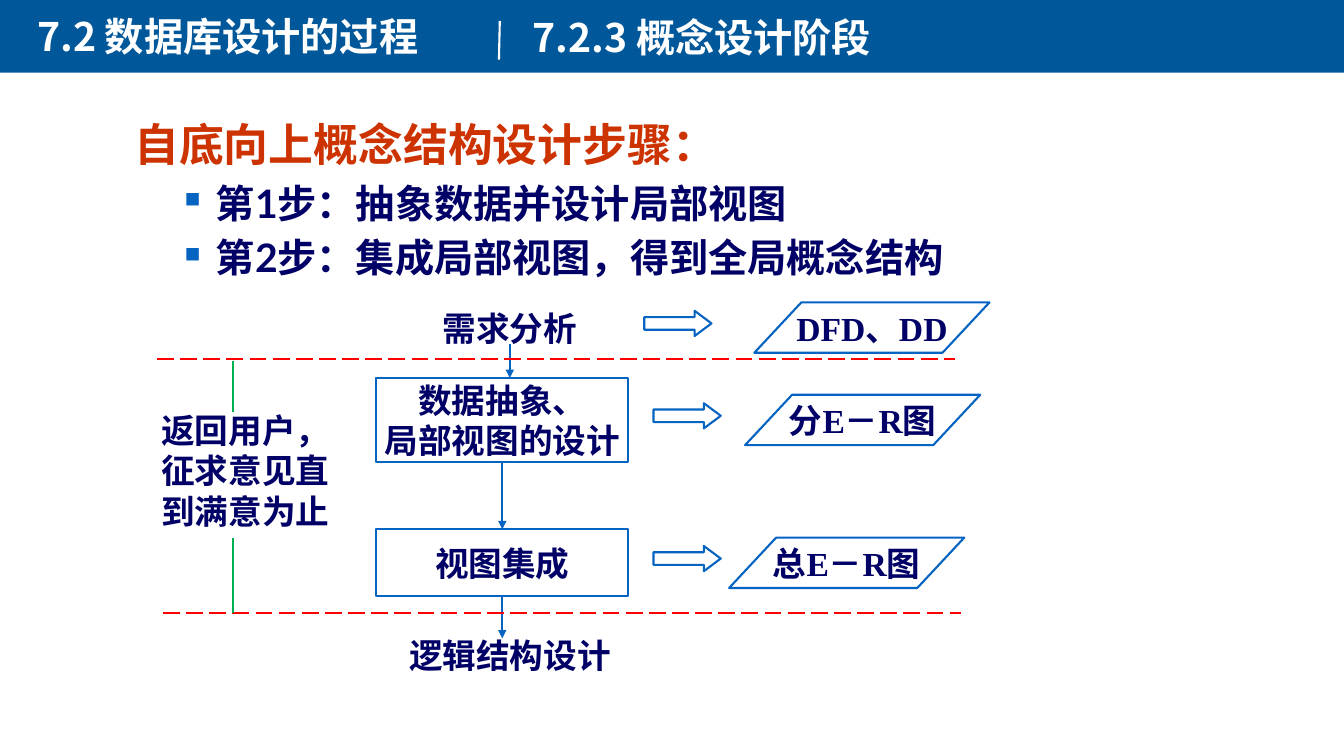
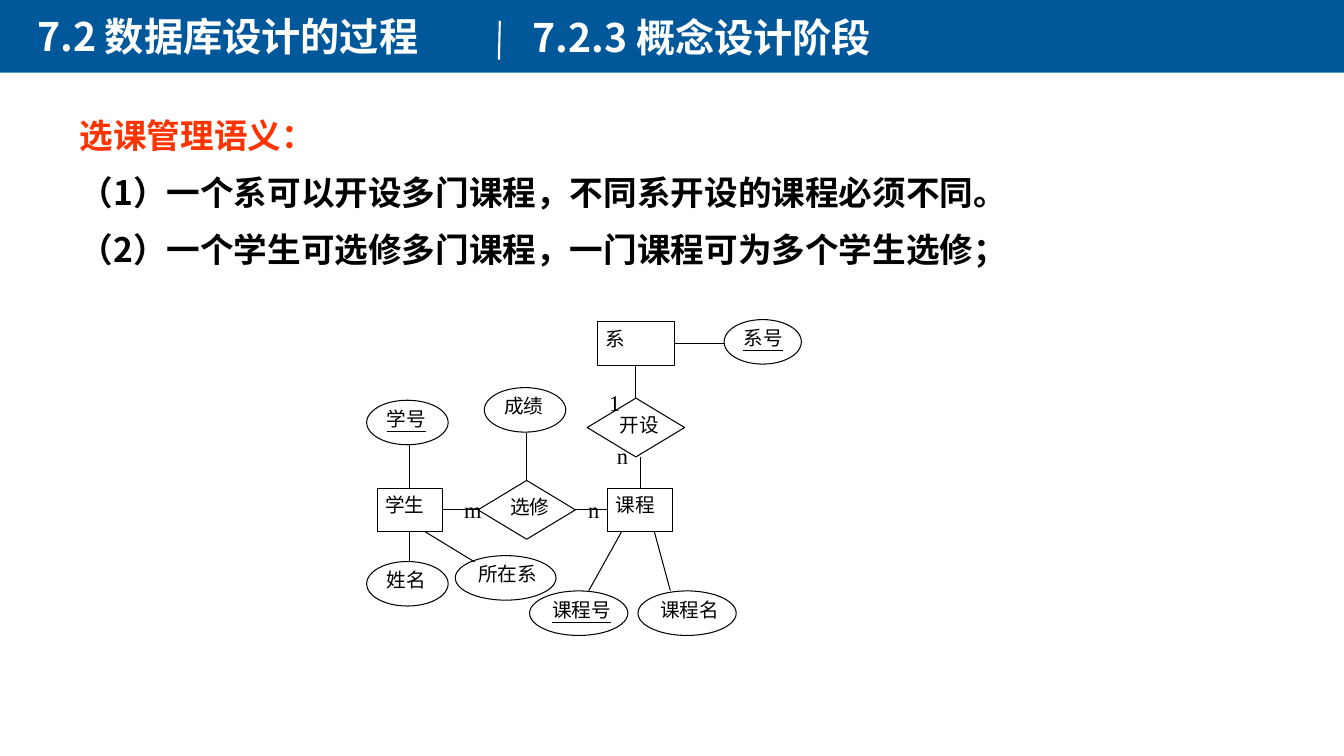
from lxml import etree
from pptx import Presentation
from pptx.dml.color import RGBColor
from pptx.enum.dml import MSO_LINE
from pptx.enum.shapes import MSO_CONNECTOR, MSO_SHAPE
from pptx.enum.text import MSO_ANCHOR, PP_ALIGN
from pptx.oxml.ns import qn
from pptx.util import Inches, Pt

RECT = MSO_SHAPE.RECTANGLE
ENTITY = MSO_SHAPE.FLOWCHART_PROCESS
RELATION = MSO_SHAPE.FLOWCHART_DECISION
ATTRIBUTE = MSO_SHAPE.FLOWCHART_CONNECTOR
DATA = MSO_SHAPE.FLOWCHART_DATA
BLOCK_ARROW = MSO_SHAPE.RIGHT_ARROW
STRAIGHT = MSO_CONNECTOR.STRAIGHT
LONG_DASH = MSO_LINE.LONG_DASH
TOP_ANCHOR, MIDDLE = MSO_ANCHOR.TOP, MSO_ANCHOR.MIDDLE
LEFT_ALIGN, CENTER, JUSTIFY = PP_ALIGN.LEFT, PP_ALIGN.CENTER, PP_ALIGN.JUSTIFY

TOP, LEFT, BOTTOM, RIGHT = range(4)
COLUMNS, ROWS = 160, 90
WHITE, BLACK, BAND = "FFFFFF", "000000", "00589A"
NAVY, BLUE, RED, GREEN = "000066", "0563C1", "FF0000", "00B050"
SANS, CJK, SERIF = "Lato", "Noto Sans CJK SC", "Times New Roman"


def color(value):
    return RGBColor.from_string(value)


def add_bullet(paragraph):
    properties = paragraph._p.get_or_add_pPr()
    properties.set("marL", str(Inches(0.81)))
    properties.set("indent", str(Inches(-0.31)))
    tint = etree.SubElement(properties, qn("a:buClr"))
    etree.SubElement(tint, qn("a:srgbClr"), val=BLUE)
    etree.SubElement(properties, qn("a:buSzPct"), val="55000")
    etree.SubElement(properties, qn("a:buChar"), char="■")


def write(frame, text, size=24, font=SERIF, ink=NAVY, bold=True, underline=False,
          align=LEFT_ALIGN, anchor=TOP_ANCHOR, wrap=True, gap=0, insets=None):
    frame.word_wrap = wrap
    frame.vertical_anchor = anchor
    if insets:
        (frame.margin_left, frame.margin_top,
         frame.margin_right, frame.margin_bottom) = map(Inches, insets)
    for index, content in enumerate(text.split("\n")):
        paragraph = frame.paragraphs[0] if index == 0 else frame.add_paragraph()
        paragraph.alignment = align
        if index:
            paragraph.space_before = Pt(gap)
        run = paragraph.add_run()
        run.text = content
        run.font.size, run.font.name = Pt(size), font
        run.font.bold, run.font.underline = bold, underline
        run.font.color.rgb = color(ink)
        etree.SubElement(run._r.get_or_add_rPr(), qn("a:ea"), typeface=SANS)
    return frame.paragraphs


class Deck:
    def __init__(self):
        self.show = Presentation()
        self.show.slide_width, self.show.slide_height = Inches(13.33), Inches(7.5)
        self.column = self.show.slide_width / COLUMNS
        self.row = self.show.slide_height / ROWS
        self.shapes = None

    def grid(self, x, y):
        return round(x * self.column), round(y * self.row)

    def new_slide(self):
        self.shapes = self.show.slides.add_slide(self.show.slide_layouts[6]).shapes
        self.shape(RECT, 0, 0, COLUMNS, 8.65, fill=BAND)
        heading = {"size": 28, "font": CJK, "ink": WHITE}
        self.text("7.2 数据库设计的过程", 3.25, 0.85, 56, 6.8, **heading)
        self.text("7.2.3 概念设计阶段", 62.2, 0.95, 96, 6.8, **heading)
        self.line((59.5, 2.5), (59.4, 7.1), WHITE)

    def shape(self, preset, x, y, width, height, fill=None, outline=None, weight=1.5):
        item = self.shapes.add_shape(preset, *self.grid(x, y), *self.grid(width, height))
        item.shadow.inherit = False
        if fill:
            item.fill.solid()
            item.fill.fore_color.rgb = color(fill)
        else:
            item.fill.background()
        if outline:
            item.line.color.rgb = color(outline)
            item.line.width = Pt(weight)
        else:
            item.line.fill.background()
        return item

    def text(self, content, x, y, width, height, **style):
        box = self.shapes.add_textbox(*self.grid(x, y), *self.grid(width, height))
        return write(box.text_frame, content, **style)

    def flow_box(self, preset, content, x, y, width, height):
        box = self.shape(preset, x, y, width, height, outline=BLUE)
        write(box.text_frame, content, align=CENTER, anchor=MIDDLE, wrap=False)
        return box

    def node(self, preset, content, x, y, width, height, key=False):
        item = self.shape(preset, x - width / 2, y - height / 2, width, height,
                          fill=WHITE, outline=BLACK, weight=0)
        insets = (0.08, 0.05, 0.1, 0.05) if preset == ENTITY else (0.08, 0, 0, 0)
        write(item.text_frame, content, size=14, ink=BLACK, bold=False,
              underline=key, align=JUSTIFY, insets=insets)
        return item

    def line(self, start, end, ink=BLACK, weight=1.5, dash=None, arrow=False):
        points = [self.grid(*place) if isinstance(place[0], (int, float)) else (0, 0)
                  for place in (start, end)]
        link = self.shapes.add_connector(STRAIGHT, *points[0], *points[1])
        for place, join in ((start, link.begin_connect), (end, link.end_connect)):
            if not isinstance(place[0], (int, float)):
                join(*place)
        link.line.color.rgb = color(ink)
        link.line.width = Pt(weight)
        if dash:
            link.line.dash_style = dash
        if arrow:
            etree.SubElement(link.line._get_or_add_ln(), qn("a:tailEnd"), type="triangle")
        etree.SubElement(link._element.spPr, qn("a:effectLst"))


def design_steps(deck):
    deck.new_slide()
    title, = deck.text("自底向上概念结构设计步骤：", 14.8, 14, 103, 7,
                       size=32, font=SANS, ink="CC3300")
    title.line_spacing = 0.9
    steps = deck.text("第1步：抽象数据并设计局部视图\n第2步：集成局部视图，得到全局概念结构",
                      14.8, 20.7, 103, 14, size=28, font=SANS, gap=5.6)
    for step in steps:
        add_bullet(step)

    abstraction = deck.flow_box(RECT, "数据抽象、\n局部视图的设计", 44.8, 45, 30, 10)
    integration = deck.flow_box(RECT, "视图集成", 44.8, 63, 30, 8)
    for content, x, y, width, height in (
            ("需求分析", 45.7, 35, 30, 8),
            ("逻辑结构设计", 45.7, 74, 30, 8),
            ("返回用户，\n征求意见直\n到满意为止", 16.7, 50, 25, 12)):
        deck.text(content, x, y, width, height, align=CENTER, anchor=MIDDLE, wrap=False)

    for result, x, y, arrow_x in (("DFD、DD", 89.8, 36, 76.7),
                                  ("分E－R图", 88.7, 47, 77.8),
                                  ("总E－R图", 86.8, 64, 77.8)):
        deck.flow_box(DATA, result, x, y, 28, 6)
        pointer = deck.shape(BLOCK_ARROW, arrow_x, y + 1, 8, 3, outline=BLUE)
        pointer.adjustments[1] = 0.67

    for start, end in (((60.7, 41), (60.7, 45)),
                       ((abstraction, BOTTOM), (integration, TOP)),
                       ((integration, BOTTOM), (59.8, 76))):
        deck.line(start, end, BLUE, arrow=True)
    for x, y in ((18.7, 42.7), (19.4, 73)):
        deck.line((x, y), (x + 95, y), RED, dash=LONG_DASH)
    for top, bottom in ((43, 49), (64, 73)):
        deck.line((27.7, top), (27.7, bottom), GREEN)


def course_model(deck):
    deck.new_slide()
    semantics = {"size": 24, "font": CJK, "gap": 12}
    deck.text("选课管理语义：", 8.3, 13.1, 120, 6, ink="FF3300", **semantics)
    deck.text("（1）一个系可以开设多门课程，不同系开设的课程必须不同。\n"
              "（2）一个学生可选修多门课程，一门课程可为多个学生选修；",
              8.3, 19.9, 120, 13, ink=BLACK, **semantics)

    main_row = 60.7
    course = deck.node(ENTITY, "课程", 76.2, main_row, 7.8, 5.2)
    student = deck.node(ENTITY, "学生", 48.8, main_row, 7.8, 5.2)
    department = deck.node(ENTITY, "系", 75.7, 40.9, 9.1, 5.2)
    enrolment = deck.node(RELATION, "选修", 62.7, main_row, 11.6, 7)
    offering = deck.node(RELATION, "开设", 75.7, 50.9, 11.6, 7)
    for content, x, y, width, key in (
            ("学号", 48.5, 50.3, 9.7, True),
            ("姓名", 48.5, 69.5, 9.7, False),
            ("成绩", 62.5, 48.8, 9.7, False),
            ("课程号", 68.9, 73, 11.7, True),
            ("课程名", 81.8, 73, 11.7, False),
            ("系号", 90.8, 40.7, 9.2, True),
            ("所在系", 60.2, 68.8, 12, False)):
        deck.node(ATTRIBUTE, content, x, y, width, 5.3, key)

    for start, end in (
            ((48.8, 52.9), (student, TOP)),
            ((student, BOTTOM), (48.8, 66.9)),
            ((50.6, 63.3), (56.5, 66.9)),
            ((student, RIGHT), (enrolment, LEFT)),
            ((enrolment, RIGHT), (course, LEFT)),
            ((62.7, 51.5), (enrolment, TOP)),
            ((department, BOTTOM), (offering, TOP)),
            ((department, RIGHT), (86.2, 40.9)),
            ((76.2, 54.4), (course, TOP)),
            ((74, 63.3), (70.1, 70.3)),
            ((77.9, 63.3), (79.8, 70.3))):
        deck.line(start, end, weight=0.75)

    for cardinality, x, y in (("1", 73.2, 47.9), ("n", 74.1, 54.2),
                              ("m", 56.3, main_row), ("n", 70.7, main_row)):
        deck.text(cardinality, x - 3, y - 2, 6, 4, size=16, ink=BLACK, bold=False,
                  align=CENTER, anchor=MIDDLE)


def main():
    deck = Deck()
    design_steps(deck)
    course_model(deck)
    deck.show.save("out.pptx")


if __name__ == "__main__":
    main()
